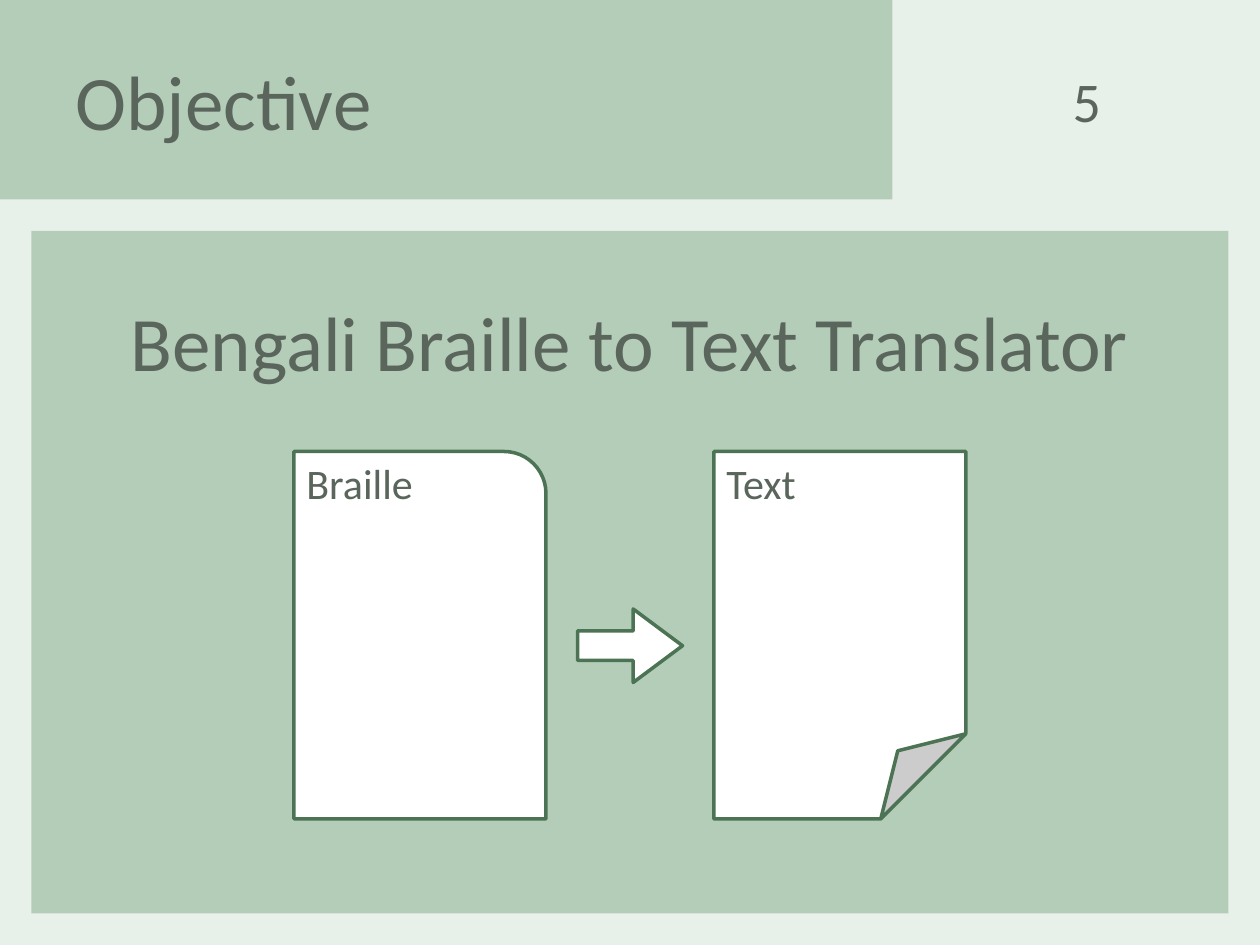
from dataclasses import dataclass, field

from pptx import Presentation
from pptx import util as u
from pptx.dml.color import RGBColor
from pptx.enum import shapes, text

PX = u.Inches(1) // 120
GREEN, PALE, WHITE = "B4CDB9", "E8F0EA", "FFFFFF"
EDGE, INK = "4C7454", "5A655C"
SHAPE, ALIGN, ANCHOR = shapes.MSO_SHAPE, text.PP_ALIGN, text.MSO_ANCHOR


@dataclass
class Box:
    x: int
    y: int
    w: int
    h: int
    kind: SHAPE | None = SHAPE.RECTANGLE
    fill: str = WHITE
    line: str | None = None
    adj: dict[str, int] = field(default_factory=dict)
    label: str = ""
    size: int = 24
    align: ALIGN = ALIGN.LEFT
    anchor: ANCHOR = ANCHOR.TOP
    left: int = 12
    top: int = 6


def rgb(value: str) -> RGBColor:
    return RGBColor.from_string(value)


def write(sp, box: Box) -> None:
    tf = sp.text_frame
    tf.word_wrap = True
    tf.vertical_anchor = box.anchor
    tf.margin_left, tf.margin_top = box.left * PX, box.top * PX
    p = tf.paragraphs[0]
    p.text = box.label
    p.alignment = box.align
    p.font.name, p.font.size = "Calibri", u.Pt(box.size)
    p.font.color.rgb = rgb(INK)


def draw(s, box: Box) -> None:
    at = [n * PX for n in (box.x, box.y, box.w, box.h)]
    if box.kind is None:
        sp = s.shapes.add_textbox(*at)
    else:
        sp = s.shapes.add_shape(box.kind, *at)
        sp.shadow.inherit = False
        sp.fill.solid()
        sp.fill.fore_color.rgb = rgb(box.fill)
        if box.line:
            sp.line.color.rgb = rgb(box.line)
            sp.line.width = u.Pt(2)
        else:
            sp.line.fill.background()
        if box.adj:
            sp.element.spPr.prstGeom.rewrite_guides(list(box.adj.items()))
    if box.label:
        write(sp, box)


BOXES = [
    Box(0, 0, 850, 190, fill=GREEN, label="Objective", size=44,
        anchor=ANCHOR.MIDDLE, left=72),
    Box(30, 220, 1140, 650, fill=GREEN, label="Bengali Braille to Text Translator",
        size=44, align=ALIGN.CENTER, top=61),
    Box(870, 0, 330, 190, None, label="5", size=32,
        align=ALIGN.CENTER, anchor=ANCHOR.MIDDLE),
    Box(280, 430, 240, 350, SHAPE.ROUND_1_RECTANGLE, line=EDGE, label="Braille"),
    Box(680, 430, 240, 350, SHAPE.FOLDED_CORNER, line=EDGE,
        adj={"adj": 33800}, label="Text"),
    Box(550, 580, 100, 70, SHAPE.RIGHT_ARROW, line=EDGE,
        adj={"adj1": 40200, "adj2": 67100}),
]


def main() -> None:
    prs = Presentation()
    prs.slide_width, prs.slide_height = 1200 * PX, 900 * PX
    s = prs.slides.add_slide(prs.slide_layouts[6])
    s.background.fill.solid()
    s.background.fill.fore_color.rgb = rgb(PALE)
    for box in BOXES:
        draw(s, box)
    prs.save("out.pptx")


if __name__ == "__main__":
    main()
